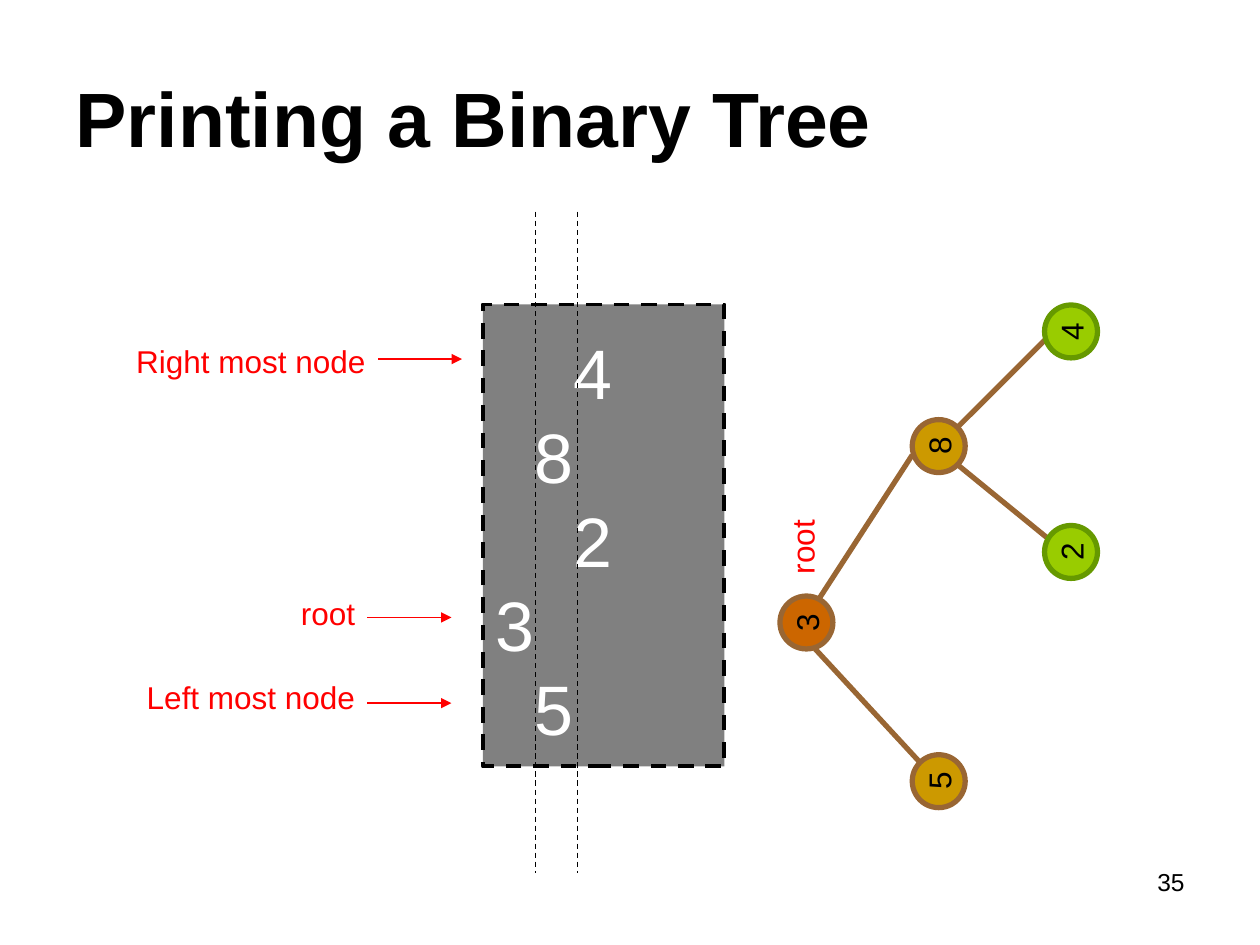
from dataclasses import dataclass

from pptx import Presentation
from pptx.dml.color import RGBColor
from pptx.enum import dml, shapes, text
from pptx.oxml.ns import qn
from pptx.util import Pt


@dataclass(frozen=True)
class Theme:
    font: str = "Arial"
    black: str = "000000"
    white: str = "FFFFFF"
    red: str = "FF0000"
    gray: str = "808080"
    brown: str = "996633"
    orange: str = "CC6600"
    gold: str = "CC9900"
    lime: str = "99CC00"
    green: str = "669900"
    title_size: int = 44
    output_size: int = 40
    label_size: int = 18
    number_size: int = 14
    hairline: float = 0.75
    border: float = 2.25
    branch: float = 3


THEME = Theme()
ALIGN = text.PP_ALIGN
ANCHOR = text.MSO_ANCHOR
FIT = text.MSO_AUTO_SIZE

# value: (centre x, centre y, fill, outline)
NODES = {
    "3": (460.8, 355.7, THEME.orange, THEME.brown),
    "8": (536.4, 254.9, THEME.gold, THEME.brown),
    "5": (536.4, 446.4, THEME.gold, THEME.brown),
    "4": (612, 189.4, THEME.lime, THEME.green),
    "2": (612, 315.4, THEME.lime, THEME.green),
}
BRANCHES = [
    (465.8, 370.8, 526.3, 436.3),
    (465.8, 345.6, 521.3, 260),
    (546.5, 244.8, 597, 194.4),
    (546.5, 265, 602, 310.3),
]
PRINTED = [("4", 2), ("8", 1), ("2", 2), ("3", 0), ("5", 1)]
# label, left, top, arrow y
LABELS = [
    ("Right most node", 66, 192, 205.2),
    ("root", 60, 336, 352.8),
    ("Left most node", 60, 384, 401.8),
]
NODE_SIZE = 30.24
INDENT = 22.24


def write(paragraph, content, *, size=THEME.label_size, color=THEME.black,
          bold=False, align=ALIGN.LEFT):
    paragraph.alignment = align
    run = paragraph.add_run()
    run.text = content
    run.font.name = THEME.font
    run.font.size = Pt(size)
    run.font.bold = bold
    run.font.color.rgb = RGBColor.from_string(color)


def style_line(line, color, width, dashed=False):
    line.color.rgb = RGBColor.from_string(color)
    line.width = Pt(width)
    if dashed:
        line.dash_style = dml.MSO_LINE.DASH


def add_shape(container, kind, box, fill, outline, width, dashed=False):
    shape = container.add_shape(kind, *map(Pt, box))
    shape.shadow.inherit = False
    shape.fill.solid()
    shape.fill.fore_color.rgb = RGBColor.from_string(fill)
    style_line(shape.line, outline, width, dashed)
    shape.text_frame.vertical_anchor = ANCHOR.MIDDLE
    return shape


def add_line(container, ends, color, width=THEME.hairline, dashed=False, arrow=False):
    connector = container.add_connector(shapes.MSO_CONNECTOR.STRAIGHT, *map(Pt, ends))
    style_line(connector.line, color, width, dashed)
    properties = connector.element.spPr
    if arrow:
        outline = properties.find(qn("a:ln"))
        outline.append(outline.makeelement(qn("a:tailEnd"), {"type": "triangle"}))
    properties.append(properties.makeelement(qn("a:effectLst"), {}))


def add_label(container, content, box, fit=FIT.SHAPE_TO_FIT_TEXT, **style):
    label = container.add_textbox(*map(Pt, box))
    label.text_frame.word_wrap = True
    label.text_frame.auto_size = fit
    write(label.text_frame.paragraphs[0], content, **style)
    return label


def add_title(slide, content):
    title = slide.shapes.title
    title.left, title.top, title.width, title.height = map(Pt, (36, 21.6, 648, 90))
    title.text_frame.vertical_anchor = ANCHOR.MIDDLE
    title.text_frame.auto_size = FIT.NONE
    write(title.text_frame.paragraphs[0], content, size=THEME.title_size, bold=True)


def add_tree(slide):
    tree = slide.shapes.add_group_shape().shapes
    for ends in BRANCHES:
        add_line(tree, ends, THEME.brown, THEME.branch)
    for value, (x, y, fill, outline) in NODES.items():
        box = (x - NODE_SIZE / 2, y - NODE_SIZE / 2, NODE_SIZE, NODE_SIZE)
        node = add_shape(tree, shapes.MSO_SHAPE.OVAL, box, fill, outline, THEME.branch)
        node.rotation = 270
        node.text_frame.word_wrap = False
        write(node.text_frame.paragraphs[0], value, align=ALIGN.CENTER)
    label = add_label(tree, "root", (410.4, 272.9, 96, 28.8), color=THEME.red)
    label.rotation = 270


def add_output(slide):
    """Draw the printed tree, each value indented by its depth."""
    panel = add_shape(slide.shapes, shapes.MSO_SHAPE.RECTANGLE, (276, 174, 138, 264),
                      THEME.gray, THEME.black, THEME.border, dashed=True)
    frame = panel.text_frame
    frame.word_wrap = True
    frame.margin_top = Pt(8)
    for index, (value, depth) in enumerate(PRINTED):
        paragraph = frame.add_paragraph() if index else frame.paragraphs[0]
        paragraph.line_spacing = Pt(48)
        properties = paragraph._p.get_or_add_pPr()
        properties.set("marL", str(Pt(depth * INDENT)))
        write(paragraph, value, size=THEME.output_size, color=THEME.white)
    for x in (306, 330):
        add_line(slide.shapes, (x, 121, x, 499), THEME.black, dashed=True)


def add_pointers(slide):
    for content, left, top, y in LABELS:
        add_label(slide.shapes, content, (left, top, 150, 28.8),
                  color=THEME.red, align=ALIGN.RIGHT)
        start = left + 150
        add_line(slide.shapes, (start, y, start + 48, y), THEME.red, arrow=True)


def main():
    presentation = Presentation()
    presentation.slide_width, presentation.slide_height = Pt(720), Pt(540)
    slide = presentation.slides.add_slide(presentation.slide_layouts[5])
    add_label(slide.shapes, "35", (516, 492, 168, 37.5), fit=FIT.NONE,
              size=THEME.number_size, align=ALIGN.RIGHT)
    add_title(slide, "Printing a Binary Tree")
    add_pointers(slide)
    add_tree(slide)
    add_output(slide)
    presentation.save("out.pptx")


if __name__ == "__main__":
    main()
